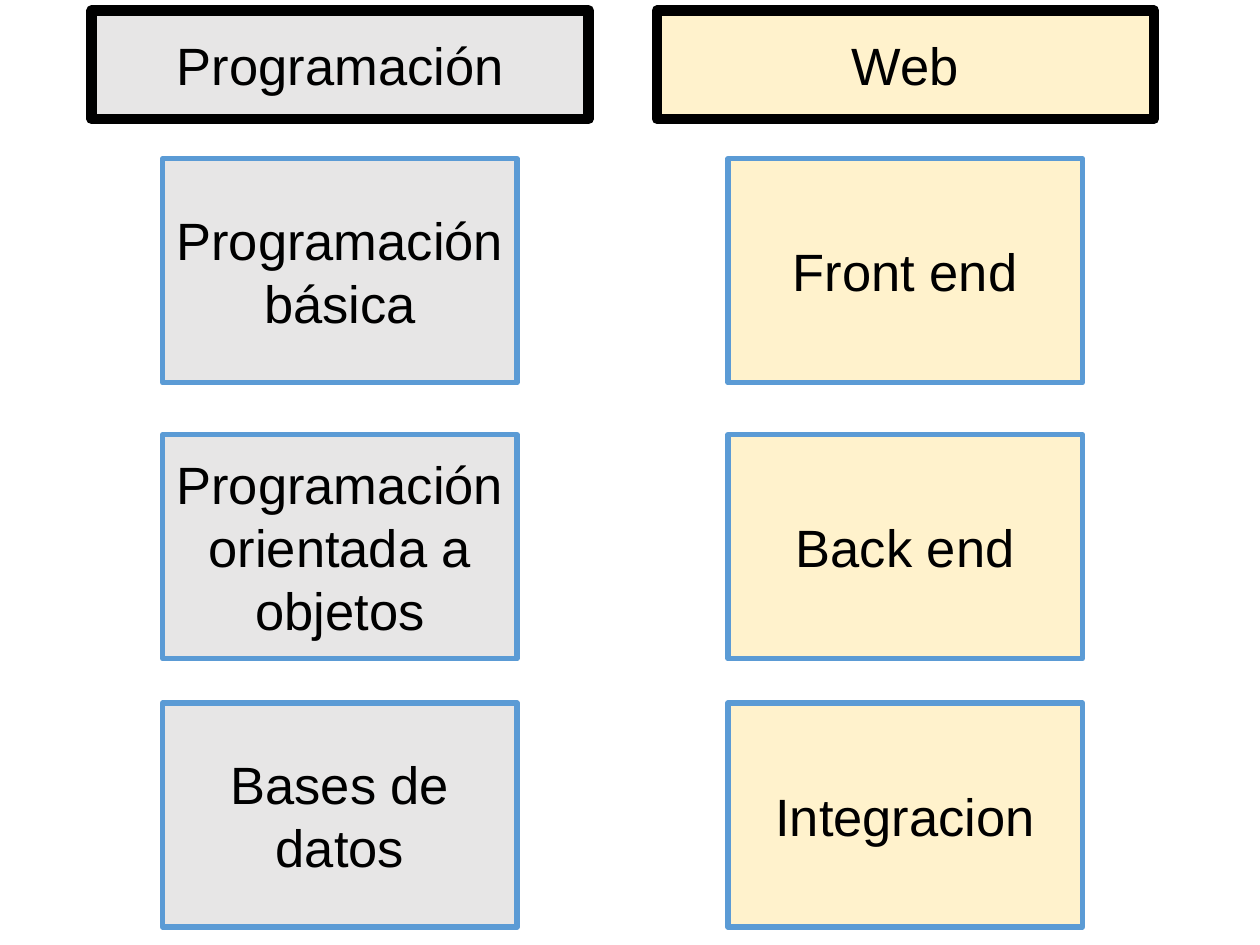
"""Build a slide with two columns of course topics, each under a heading."""
import pptx
import pptx.dml.color
import pptx.enum.shapes
import pptx.enum.text
import pptx.oxml.ns
import pptx.util
import lxml.etree

Pt = pptx.util.Pt


def color(hex_string):
    return pptx.dml.color.RGBColor.from_string(hex_string)


def add_box(text, *, left, top, width, height, fill, line, line_width):
    box = slide.shapes.add_shape(
        pptx.enum.shapes.MSO_SHAPE.RECTANGLE, Pt(left), Pt(top), Pt(width), Pt(height)
    )
    box.shadow.inherit = False
    box.fill.solid()
    box.fill.fore_color.rgb = color(fill)
    box.line.color.rgb = color(line)
    box.line.width = Pt(line_width)
    outline = box.element.spPr.find(pptx.oxml.ns.qn("a:ln"))
    lxml.etree.SubElement(outline, pptx.oxml.ns.qn("a:round"))
    frame = box.text_frame
    frame.word_wrap = True
    frame.vertical_anchor = pptx.enum.text.MSO_ANCHOR.MIDDLE
    frame.margin_left = frame.margin_right = Pt(7.2)
    frame.margin_top = frame.margin_bottom = Pt(7.2)
    para = frame.paragraphs[0]
    para.alignment = pptx.enum.text.PP_ALIGN.CENTER
    span = para.add_run()
    span.text = text
    span.font.name = "Arial"
    span.font.size = Pt(30)
    span.font.color.rgb = color("000000")


deck = pptx.Presentation()
deck.slide_width = Pt(720)
deck.slide_height = Pt(540)
slide = deck.slides.add_slide(deck.slide_layouts[6])

columns = [
    ("Programación", "E7E6E6",
     ["Programación básica", "Programación orientada a objetos", "Bases de datos"]),
    ("Web", "FFF2CC", ["Front end", "Back end", "Integracion"]),
]
column_step = 323
topic_tops = [90.7, 248.4, 401.8]

for index, (heading, fill, topics) in enumerate(columns):
    offset = index * column_step
    add_box(heading, left=52.4 + offset, top=6, width=284, height=62,
            fill=fill, line="000000", line_width=6)
    for topic, top in zip(topics, topic_tops):
        add_box(topic, left=93 + offset, top=top, width=202.5, height=128,
                fill=fill, line="5B9BD5", line_width=3)

deck.save("out.pptx")
